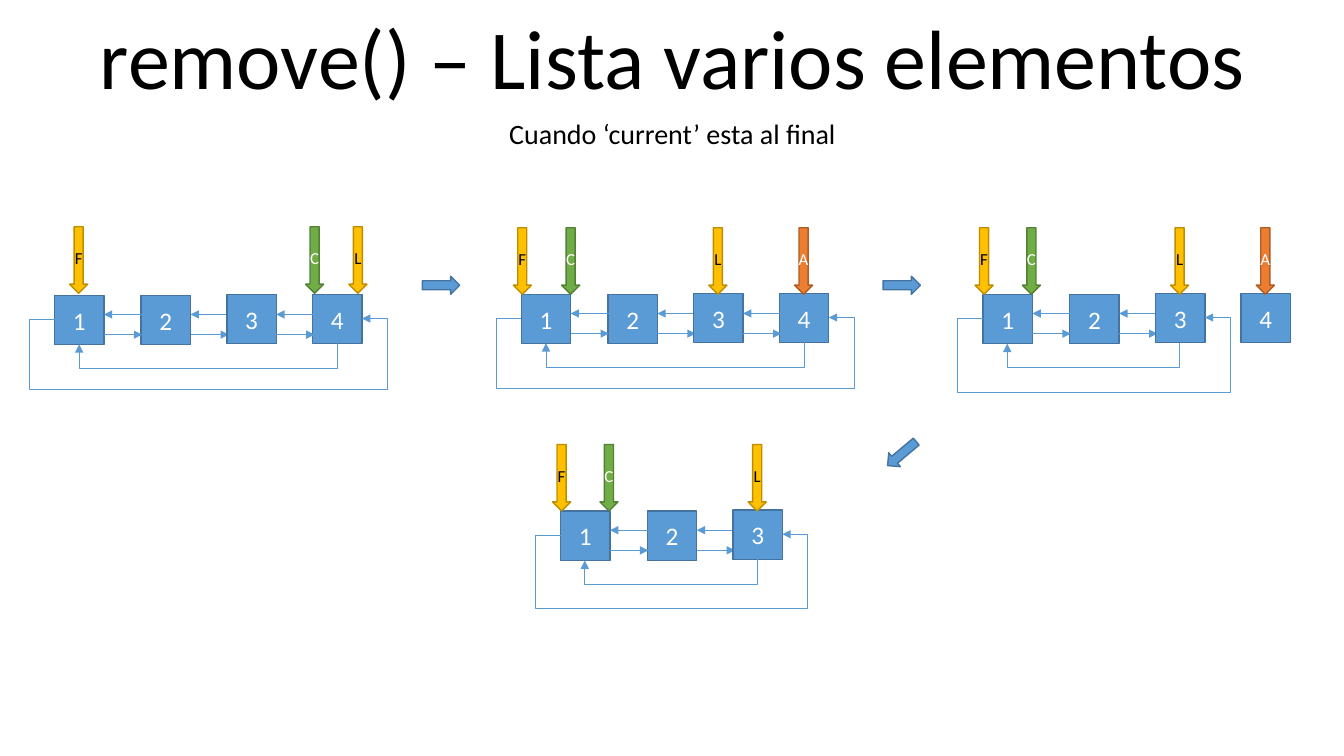
from lxml.etree import SubElement
from pptx import Presentation
from pptx.dml.color import RGBColor
from pptx.enum.shapes import MSO_CONNECTOR, MSO_SHAPE
from pptx.enum.text import MSO_ANCHOR, MSO_AUTO_SIZE, PP_ALIGN
from pptx.oxml.ns import qn
from pptx.util import Pt

PX = 9144  # 100 px to the inch
FONT = "Calibri"
COLORS = {
    "black": "000000", "white": "FFFFFF",
    "blue": "5B9BD5", "blue edge": "43739E",
    "gold": "FFC000", "gold edge": "BD8E00",
    "green": "70AD47", "green edge": "538035",
    "orange": "ED7D31", "orange edge": "AF5C24",
}
COLORS = {name: RGBColor.from_string(value) for name, value in COLORS.items()}

NODE = 49
NODE_OFFSETS = [0, 86, 171, 256]
NODE_LIFTS = [0, 0, 1, 1]
POINTER_STYLES = {
    "F": ("gold", "black"), "L": ("gold", "black"),
    "C": ("green", "white"), "A": ("orange", "white"),
}
# left, top, nodes, linked nodes, loop depth, pointer top, pointer offsets
STATES = [
    (54, 293, 4, 4, 70, 225, {"F": 15, "L": 292, "C": 249}),
    (517, 292, 4, 4, 70, 226, {"F": -8, "L": 186, "C": 40, "A": 271}),
    (975, 292, 4, 3, 74, 226, {"F": -8, "L": 186, "C": 39, "A": 271}),
    (556, 507, 3, 3, 74, 441, {"F": -8, "L": 186, "C": 39}),
]

deck = Presentation()
deck.slide_width, deck.slide_height = 1333 * PX, 750 * PX
page = deck.slides.add_slide(deck.slide_layouts[0])


def add_block(kind, left, top, width, height, color, label="", size=18, ink="white"):
    block = page.shapes.add_shape(kind, left * PX, top * PX, width * PX, height * PX)
    block.shadow.inherit = False
    block.fill.solid()
    block.fill.fore_color.rgb = COLORS[color]
    block.line.color.rgb = COLORS[color + " edge"]
    block.line.width = Pt(1)
    if label:
        frame = block.text_frame
        frame.margin_left = frame.margin_right = 0
        frame.vertical_anchor = MSO_ANCHOR.MIDDLE
        frame.word_wrap = False
        para = frame.paragraphs[0]
        para.text = label
        para.alignment = PP_ALIGN.CENTER
        para.font.name, para.font.size = FONT, Pt(size)
        para.font.color.rgb = COLORS[ink]
    return block


def add_link(start_x, start_y, end_x, end_y, rotation=0, bends=()):
    """Draw an arrow; bends are elbow positions as shares of the unrotated box."""
    kind = MSO_CONNECTOR.ELBOW if bends else MSO_CONNECTOR.STRAIGHT
    link = page.shapes.add_connector(kind, start_x * PX, start_y * PX, end_x * PX, end_y * PX)
    link.line.color.rgb = COLORS["blue"]
    link.line.width = Pt(0.5)
    properties = link._element.spPr
    SubElement(properties.find(qn("a:ln")), qn("a:tailEnd"), type="triangle")
    SubElement(properties, qn("a:effectLst"))
    if bends:
        properties.find(qn("a:xfrm")).set("rot", str(rotation * 60000))
        geometry = properties.find(qn("a:prstGeom"))
        geometry.set("prst", f"bentConnector{len(bends) + 2}")
        guides = geometry.find(qn("a:avLst"))
        for number, bend in enumerate(bends, 1):
            name = "adj1" if len(bends) == 1 else f"adj{number}"
            SubElement(guides, qn("a:gd"), name=name, fmla=f"val {round(bend * 100000)}")


headings = [
    (page.shapes.title, "remove() – Lista varios elementos", 0, 111, 60),
    (page.placeholders[1], "Cuando ‘current’ esta al final", 111, 44, 20),
]
for box, text, top, height, size in headings:
    box.left, box.top, box.width, box.height = PX, top * PX, 1332 * PX, height * PX
    frame = box.text_frame
    frame.word_wrap = True
    frame.auto_size = MSO_AUTO_SIZE.NONE
    frame.vertical_anchor = MSO_ANCHOR.TOP
    para = frame.paragraphs[0]
    para.text = text
    para.alignment = PP_ALIGN.CENTER
    para.space_before = Pt(0)
    para.font.name, para.font.size = FONT, Pt(size)
    para.font.color.rgb = COLORS["black"]

for left, top, nodes, linked, depth, pointer_top, pointers in STATES:
    # Node 3 comes last so that it covers the arrow tips that reach into it
    for index in [0, 1, 3, 2]:
        if index == 2:
            for offset in NODE_OFFSETS[:2]:
                near, far = left + offset + NODE, left + offset + 87
                add_link(far, top + 19, near, top + 19)
                add_link(near, top + 39, far, top + 39)
        if index < nodes:
            add_block(MSO_SHAPE.RECTANGLE, left + NODE_OFFSETS[index],
                      top - NODE_LIFTS[index], NODE, NODE, "blue", str(index + 1))
    if linked == 4:
        near, far = left + NODE_OFFSETS[2] + NODE, left + NODE_OFFSETS[3] + 2
        add_link(far, top + 19, near, top + 19)
        add_link(near, top + 39, far, top + 39)

    span = NODE_OFFSETS[linked - 1]
    middle_x = left + 24 + span // 2
    middle_y = top + NODE - 1
    add_link(middle_x, middle_y - span // 2, middle_x + 1, middle_y - span // 2 + span,
             rotation=90, bends=[25])
    overhang = 25 / (span + NODE)
    add_link(left + span + NODE, top + 23, left, top + 24,
             rotation=180, bends=[-overhang, -depth, 1 + overhang])

    for label, offset in pointers.items():
        color, ink = POINTER_STYLES[label]
        add_block(MSO_SHAPE.DOWN_ARROW, left + offset, pointer_top, 18, 66,
                  color, label, 12, ink)

for left, top, rotation in [(419, 274, 0), (876, 274, 0), (876, 441, 140)]:
    step = add_block(MSO_SHAPE.RIGHT_ARROW, left, top, 37, 18, "blue")
    step.rotation = rotation

deck.save("out.pptx")
